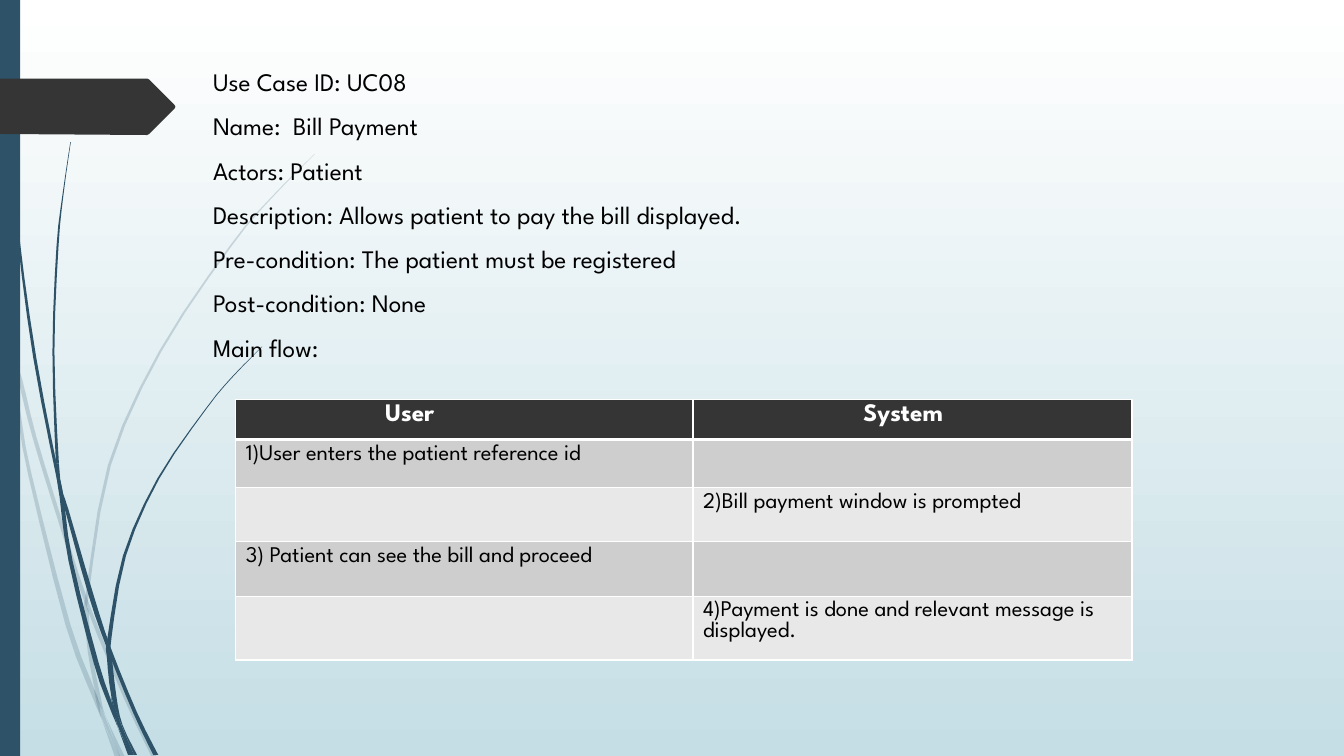
import itertools
from dataclasses import dataclass

from lxml import etree
from pptx import Presentation
from pptx import util as u
from pptx.dml import color
from pptx.enum import shapes, text
from pptx.oxml import ns

COLUMNS, ROWS = 133.33, 75
CURVE_STEPS = 3


@dataclass(frozen=True)
class Theme:
    font: str = "League Spartan"
    ink: str = "000000"
    white: str = "FFFFFF"
    sky: str = "C5DEE5"
    blue: str = "2E5369"
    charcoal: str = "353535"
    bands: tuple[str, str] = ("CECECE", "E8E8E8")
    large: float = 18
    medium: float = 16


@dataclass(frozen=True)
class Knot:
    column: float
    row: float
    thickness: float


@dataclass(frozen=True)
class Vine:
    knots: tuple[tuple[float, float, float], ...]
    joints: tuple[int, ...]
    opacity: int = 100


@dataclass(frozen=True)
class Step:
    user: str = ""
    system: str = ""


THEME = Theme()
VINES = (
    Vine(((0.1, 29, 0.2), (1.2, 34.7, 0.1), (2, 37.6, 0.4), (3.4, 43.3, 0.4),
          (6.1, 52.1, 0.4), (8.6, 59.8, 0.4), (12.5, 69.3, 0.4), (15.25, 75, 0.5)),
         (1, 5), 20),
    Vine(((1.1, 35, 0.05), (1.9, 41, 0.3), (2.95, 47, 0.35), (6.75, 62, 0.5),
          (9.4, 69.1, 0.5), (10.1, 71.4, 0), (11.65, 75.1, 0.5)), (5,), 20),
    Vine(((9.3, 68.3, 0), (10.1, 70.8, 0.4), (11.9, 75.1, 0.05)), (), 20),
    Vine(((31.2, 15.3, 0.05), (26.8, 19.75, 0.15), (22.85, 24.45, 0.2),
          (15.9, 34.85, 0.25), (10.85, 46.15, 0.3), (8.65, 59, 0.3), (8.6, 60.6, 0.4),
          (8.9, 64.6, 0.4), (9.8, 69.2, 0.4), (10.5, 71.1, 0), (12.15, 75.1, 0.5)),
         (5, 6, 9), 20),
    Vine(((0.35, 0, 0.1), (0.75, 11, 0.1), (1.8, 23.3, 0.2), (3.45, 35.5, 0.3),
          (5.8, 47.6, 0.3), (6.6, 50.5, 0.35), (9.05, 59.1, 0.5), (10.8, 64.3, 0.4),
          (13.4, 70.7, 0.4), (15.45, 74.9, 0.5)), (4, 7)),
    Vine(((7, 14.1, 0.05), (6.25, 19.3, 0.1), (5.7, 24.5, 0.2), (5.3, 34.9, 0.2),
          (5.7, 46, 0.3), (6.1, 49.2, 0.4), (7, 55.65, 0.4), (9.55, 65.8, 0.5),
          (11, 70, 0.4), (11.7, 72.2, 0), (12.9, 74.9, 0.4)), (4, 5, 9)),
    Vine(((11, 69.1, 0), (11.8, 71.8, 0.4), (13.15, 74.9, 0.3)), ()),
    Vine(((26, 34.4, 0.05), (23.1, 37.35, 0.1), (20.45, 40.55, 0.1), (15.7, 47.5, 0.2),
          (12.35, 55.15, 0.3), (10.85, 63.4, 0.4), (10.85, 65.1, 0.5),
          (11.3, 69.1, 0.5), (12.1, 71.9, 0.1), (13.45, 74.9, 0.3)), (5, 6, 8)),
)
TAG_OUTLINE = ((0, 7.8), (14.6, 7.8), (14.8, 7.9), (17.3, 10.4), (17.4, 10.6),
               (17.3, 10.8), (14.8, 13.3), (14.6, 13.4), (0, 13.3))
DETAILS = (
    "Use Case ID: UC08",
    "Name:  Bill Payment",
    "Actors: Patient",
    "Description: Allows patient to pay the bill displayed.",
    "Pre-condition: The patient must be registered",
    "Post-condition: None",
    "Main flow:",
)
STEPS = (
    Step(user="1)User enters the patient reference id"),
    Step(system="2)Bill payment window is prompted"),
    Step(user="3) Patient can see the bill and proceed"),
    Step(system="4)Payment is done and relevant message is displayed."),
)
HEADINGS = (("User", 14.8), ("System", 16.9))
TABLE_COLUMNS = (45.35, 43.55)
TABLE_ROWS = (3.45, 4.75, 5.4, 5.4, 5.4)

presentation = Presentation()
presentation.slide_width, presentation.slide_height = u.Inches(13.33), u.Inches(7.5)


def across(columns: float) -> int:
    return round(presentation.slide_width * columns / COLUMNS)


def down(rows: float) -> int:
    return round(presentation.slide_height * rows / ROWS)


def rgb(value: str) -> color.RGBColor:
    return color.RGBColor.from_string(value)


def paint(shape, value: str, opacity: int = 100) -> None:
    shape.shadow.inherit = False
    shape.fill.solid()
    shape.fill.fore_color.rgb = rgb(value)
    shape.line.fill.background()
    if opacity < 100:
        tint = shape._element.spPr.find(".//" + ns.qn("a:srgbClr"))
        etree.SubElement(tint, ns.qn("a:alpha"), val=str(opacity * 1000))


def draw_outline(slide, points, value: str, opacity: int = 100) -> None:
    corners = [(across(column), down(row)) for column, row in points]
    builder = slide.shapes.build_freeform(*corners[0])
    builder.add_line_segments(corners[1:], close=True)
    paint(builder.convert_to_shape(), value, opacity)


def blend(a: float, b: float, c: float, d: float, t: float) -> float:
    return b + t / 2 * (c - a + t * (2 * a - 5 * b + 4 * c - d + t * (3 * (b - c) + d - a)))


def smooth(vine: Vine) -> list[Knot]:
    knots = (vine.knots[0], *vine.knots, vine.knots[-1])
    curve = [
        Knot(*(blend(*values, step / CURVE_STEPS) for values in zip(*knots[i:i + 4])))
        for i in range(len(knots) - 3)
        for step in range(CURVE_STEPS)
    ]
    return [*curve, Knot(*vine.knots[-1])]


def draw_vine(slide, vine: Vine) -> None:
    curve = smooth(vine)
    for first, last in itertools.pairwise((0, *vine.joints, len(vine.knots) - 1)):
        piece = curve[first * CURVE_STEPS:last * CURVE_STEPS + 1]
        left = [(knot.column - knot.thickness / 2, knot.row) for knot in piece]
        right = [(knot.column + knot.thickness / 2, knot.row) for knot in reversed(piece)]
        draw_outline(slide, left + right, THEME.blue, vine.opacity)


def format_runs(paragraph, size: float, value: str, bold: bool = False) -> None:
    for run in paragraph.runs:
        run.font.name = THEME.font
        run.font.size = u.Pt(size)
        run.font.bold = bold
        run.font.color.rgb = rgb(value)


def draw_details(slide) -> None:
    box = slide.shapes.add_textbox(across(20.15), down(6.1), across(113.2), down(62.8))
    frame = box.text_frame
    frame.word_wrap = True
    frame.text = "\n".join(DETAILS)
    for index, paragraph in enumerate(frame.paragraphs):
        paragraph.space_before = u.Pt(10 if index else 0)
        format_runs(paragraph, THEME.large, THEME.ink)


def add_borders(cell, row: int) -> None:
    properties = cell._tc.get_or_add_tcPr()
    widths = {"L": 1, "R": 1, "T": 3 if row == 1 else 1, "B": 3 if row == 0 else 1}
    for side, width in widths.items():
        line = etree.SubElement(properties, ns.qn(f"a:ln{side}"), w=str(u.Pt(width)))
        fill = etree.SubElement(line, ns.qn("a:solidFill"))
        etree.SubElement(fill, ns.qn("a:srgbClr"), val=THEME.white)


def fill_cell(cell, row: int, words: str) -> None:
    header = row == 0
    size = THEME.large if header else THEME.medium
    add_borders(cell, row)
    cell.fill.solid()
    cell.fill.fore_color.rgb = rgb(THEME.charcoal if header else THEME.bands[(row - 1) % 2])
    cell.vertical_anchor = text.MSO_ANCHOR.TOP
    cell.text_frame.text = words
    paragraph = cell.text_frame.paragraphs[0]
    format_runs(paragraph, size, THEME.white if header else THEME.ink, header)
    ending = etree.SubElement(paragraph._p, ns.qn("a:endParaRPr"), sz=str(size * 100))
    etree.SubElement(ending, ns.qn("a:latin"), typeface=THEME.font)


def draw_flow(slide) -> None:
    table = slide.shapes.add_table(
        len(TABLE_ROWS), len(TABLE_COLUMNS), across(23.4), down(39.6),
        across(sum(TABLE_COLUMNS)), down(sum(TABLE_ROWS))).table
    table.horz_banding = False
    for column, width in zip(table.columns, TABLE_COLUMNS):
        column.width = across(width)
    for row, height in zip(table.rows, TABLE_ROWS):
        row.height = down(height)
    for column, (heading, indent) in enumerate(HEADINGS):
        fill_cell(table.cell(0, column), 0, heading)
        table.cell(0, column).margin_left = across(indent)
    for row, step in enumerate(STEPS, start=1):
        for column, words in enumerate((step.user, step.system)):
            fill_cell(table.cell(row, column), row, words)


def draw_background(slide) -> None:
    fill = slide.background.fill
    fill.gradient()
    fill.gradient_angle = 270
    for stop, position, value in zip(fill.gradient_stops, (0, 1), (THEME.white, THEME.sky)):
        stop.position = position
        stop.color.rgb = rgb(value)


def main() -> None:
    slide = presentation.slides.add_slide(presentation.slide_layouts.get_by_name("Blank"))
    draw_background(slide)
    for vine in VINES:
        draw_vine(slide, vine)
    band = slide.shapes.add_shape(shapes.MSO_SHAPE.RECTANGLE, 0, 0, across(2), down(ROWS))
    paint(band, THEME.blue)
    draw_outline(slide, TAG_OUTLINE, THEME.charcoal)
    draw_details(slide)
    draw_flow(slide)
    presentation.save("out.pptx")


if __name__ == "__main__":
    main()
